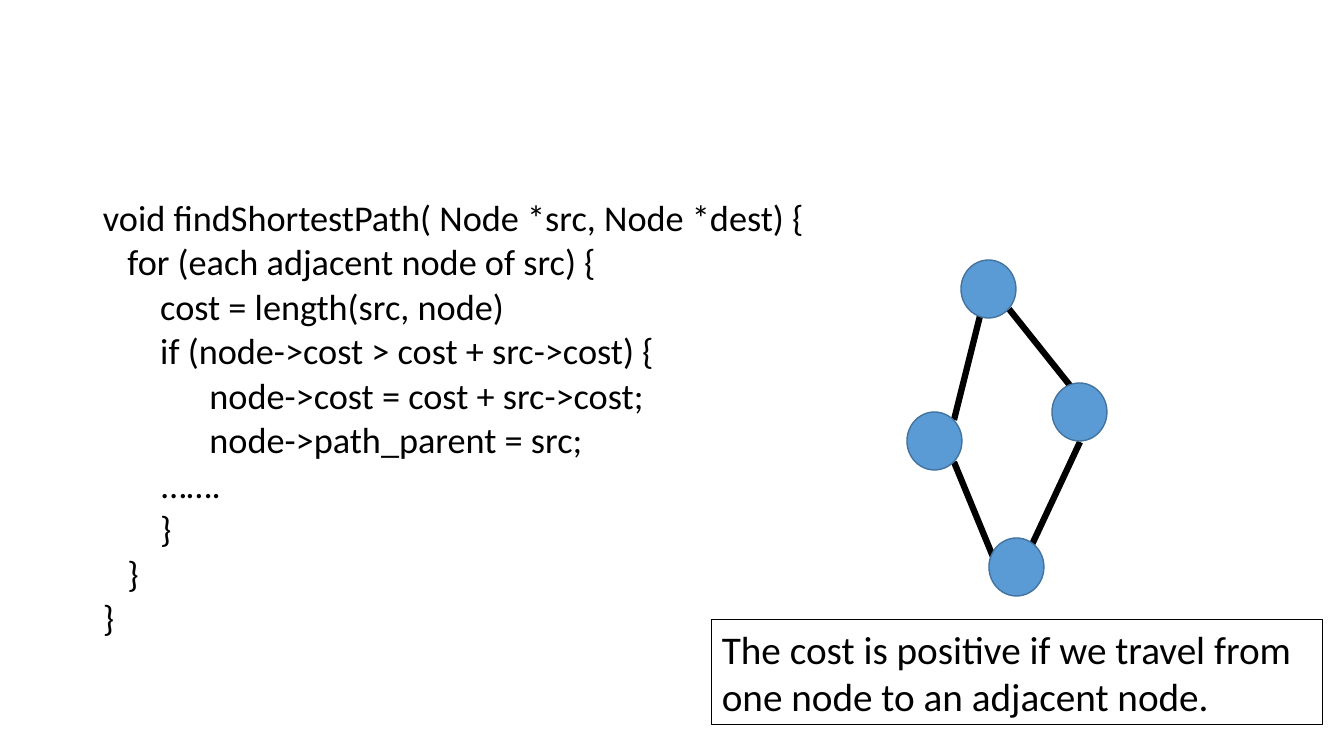
import pptx
import pptx.util
import pptx.dml.color
import pptx.enum.shapes
import pptx.enum.text
import pptx.oxml.ns
import lxml.etree

CODE = [
    "void findShortestPath( Node *src, Node *dest) {",
    "   for (each adjacent node of src) {",
    "       cost = length(src, node)",
    "       if (node->cost > cost + src->cost) {",
    "             node->cost = cost + src->cost;",
    "             node->path_parent = src;",
    "\t …….",
    "       }",
    "   }",
    "}",
]
CAPTION = "The cost is positive if we travel from one node to an adjacent node."
EDGES = [
    (1009, 309, 1080, 398),
    (1029, 551, 1080, 442),
    (996, 564, 954, 462),
    (954, 420, 982, 308),
]
NODES = [(961, 260), (907, 412), (1052, 383), (989, 538)]
NODE_W, NODE_H = 55, 58
CODE_BOX = (93, 202, 1159, 480)
CAPTION_BOX = (712, 620, 611, 105)
COLORS = {"ink": "000000", "node": "5B9BD5", "rim": "43739E"}
CODE_FONT = {"name": "Calibri", "size": pptx.util.Pt(25.9)}
CAPTION_FONT = {"name": "Calibri", "size": pptx.util.Pt(28)}
CODE_SPACING = {"line_spacing": 0.7, "space_after": pptx.util.Pt(0)}
SCALE = 914400 / 100.8


def px(*lengths):
    return [round(n * SCALE) for n in lengths]


def rgb(name):
    return pptx.dml.color.RGBColor.from_string(COLORS[name])


def set_line(shape, color, width):
    shape.line.color.rgb = rgb(color)
    shape.line.width = pptx.util.Pt(width)


def set_attrs(target, values):
    for key, value in values.items():
        setattr(target, key, value)


def write(p, text, font):
    r = p.add_run()
    r.text = text
    set_attrs(r.font, font)
    r.font.color.rgb = rgb("ink")


def add_box(s, box):
    sp = s.shapes.add_textbox(*px(*box))
    sp.text_frame.word_wrap = True
    return sp


def add_edge(s, edge):
    cx = s.shapes.add_connector(pptx.enum.shapes.MSO_CONNECTOR.STRAIGHT, *px(*edge))
    set_line(cx, "ink", 4.5)
    lxml.etree.SubElement(cx._element.spPr, pptx.oxml.ns.qn("a:effectLst"))


def add_node(s, x, y):
    sp = s.shapes.add_shape(pptx.enum.shapes.MSO_SHAPE.OVAL, *px(x, y, NODE_W, NODE_H))
    sp.shadow.inherit = False
    sp.fill.solid()
    sp.fill.fore_color.rgb = rgb("node")
    set_line(sp, "rim", 1)


def add_code(s):
    tf = add_box(s, CODE_BOX).text_frame
    for i, text in enumerate(CODE):
        p = tf.add_paragraph() if i else tf.paragraphs[0]
        set_attrs(p, CODE_SPACING)
        p.space_before = pptx.util.Pt(10 if i else 0)
        write(p, text, CODE_FONT)


def add_caption(s):
    sp = add_box(s, CAPTION_BOX)
    set_line(sp, "ink", 0.75)
    sp.text_frame.auto_size = pptx.enum.text.MSO_AUTO_SIZE.SHAPE_TO_FIT_TEXT
    write(sp.text_frame.paragraphs[0], CAPTION, CAPTION_FONT)


def main():
    prs = pptx.Presentation()
    prs.slide_width, prs.slide_height = px(1344, 756)
    s = prs.slides.add_slide(prs.slide_layouts[6])
    for edge in EDGES:
        add_edge(s, edge)
    add_code(s)
    for x, y in NODES:
        add_node(s, x, y)
    add_caption(s)
    prs.save("out.pptx")


if __name__ == "__main__":
    main()
